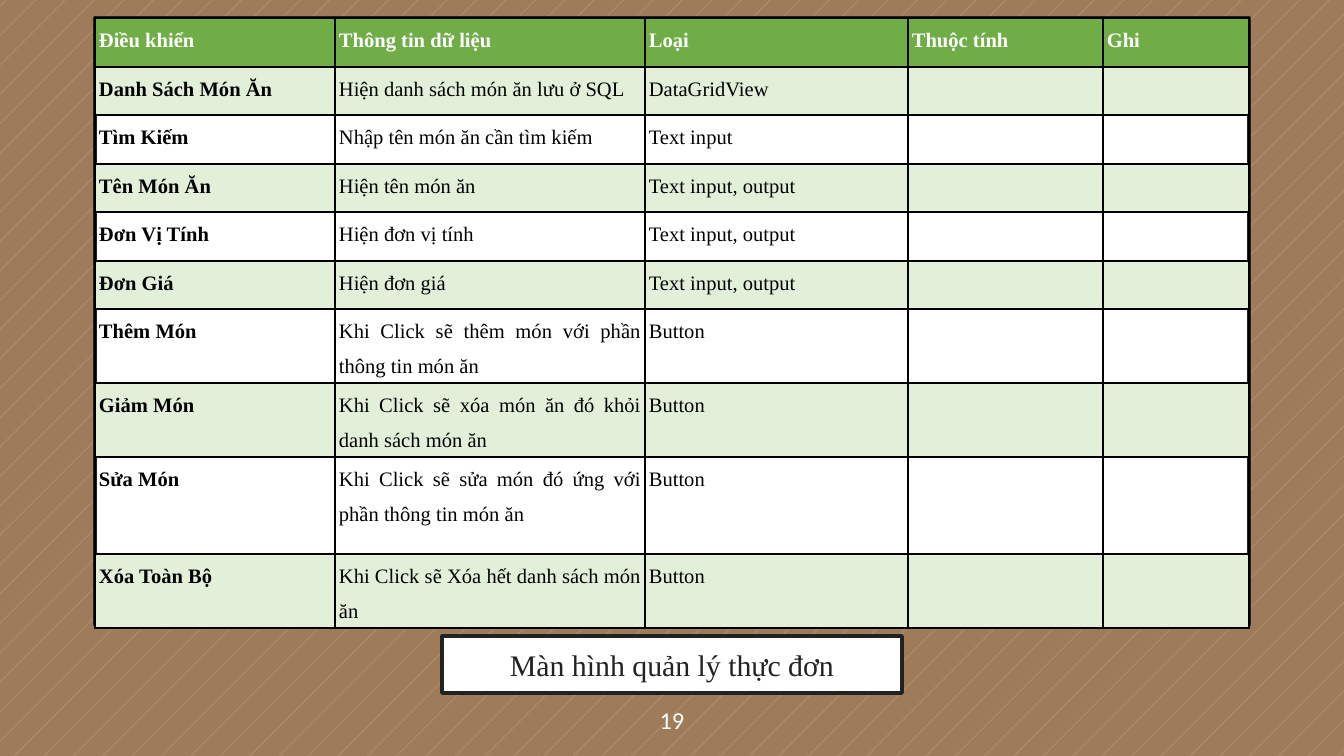
from lxml import etree
from pptx import Presentation
from pptx.dml.color import RGBColor
from pptx.enum.shapes import MSO_SHAPE
from pptx.enum.text import MSO_ANCHOR, PP_ALIGN
from pptx.oxml import parse_xml
from pptx.oxml.ns import nsdecls, qn
from pptx.util import Pt

RECTANGLE = MSO_SHAPE.RECTANGLE
MIDDLE = MSO_ANCHOR.MIDDLE
CENTER, JUSTIFY = PP_ALIGN.CENTER, PP_ALIGN.JUSTIFY

BROWN = RGBColor(0x9E, 0x7C, 0x59)
WHITE = RGBColor(0xFF, 0xFF, 0xFF)
BLACK = RGBColor(0, 0, 0)
CHARCOAL = RGBColor(0x22, 0x22, 0x22)
GREEN = RGBColor(0x70, 0xAD, 0x47)
PALE_GREEN = RGBColor(0xE2, 0xEF, 0xD9)

SERIF, SANS = "Times New Roman", "Calibri"
WIDTH, HEIGHT = 1344, 756
EMU_PER_PX = 9144000 / WIDTH

STRIPE_COUNT, STRIPE_START, STRIPE_STEP, STRIPE_SPAN = 72, 5.2, 29.4, 2

TABLE_LEFT, TABLE_TOP = 95, 18
COLUMN_WIDTHS = [240, 310, 263, 195, 146]
ROW_HEIGHTS = [49, 48, 49, 48, 49, 48, 73, 73, 97, 73]
HEADINGS = ("Điều khiển", "Thông tin dữ liệu", "Loại", "Thuộc tính", "Ghi")
CONTROLS = [
    ("Danh Sách Món Ăn", "Hiện danh sách món ăn lưu ở SQL", "DataGridView"),
    ("Tìm Kiếm", "Nhập tên món ăn cần tìm kiếm", "Text input"),
    ("Tên Món Ăn", "Hiện tên món ăn", "Text input, output"),
    ("Đơn Vị Tính", "Hiện đơn vị tính", "Text input, output"),
    ("Đơn Giá", "Hiện đơn giá", "Text input, output"),
    ("Thêm Món", "Khi Click sẽ thêm món với phần thông tin món ăn", "Button"),
    ("Giảm Món", "Khi Click sẽ xóa món ăn đó khỏi danh sách món ăn", "Button"),
    ("Sửa Món", "Khi Click sẽ sửa món đó ứng với phần thông tin món ăn", "Button"),
    ("Xóa Toàn Bộ", "Khi Click sẽ Xóa hết danh sách món ăn", "Button"),
]


def px(length):
    """Turn pixels into EMU."""
    return round(length * EMU_PER_PX)


def write(paragraph, words, size, color, font=SERIF, bold=False, align=CENTER):
    """Add one formatted run to a paragraph."""
    paragraph.alignment = align
    run = paragraph.add_run()
    run.text = words
    run.font.name = font
    run.font.size = Pt(size)
    run.font.bold = bold
    run.font.color.rgb = color


def stripe_corners(start):
    """Return the corners of one diagonal stripe clipped to the slide."""
    corners = []
    for total in (start, start + STRIPE_SPAN):
        upper = (px(min(total, WIDTH)), px(max(0, total - WIDTH)))
        lower = (px(max(0, total - HEIGHT)), px(min(total, HEIGHT)))
        corners.append((upper, lower))
    (upper, lower), (next_upper, next_lower) = corners
    return [upper, lower, next_lower, next_upper]


def add_stripes(slide):
    """Draw all faint diagonal stripes as one outline."""
    first, *others = [
        stripe_corners(STRIPE_START + STRIPE_STEP * i) for i in range(STRIPE_COUNT)
    ]
    builder = slide.shapes.build_freeform(*first[0])
    builder.add_line_segments(first[1:])
    for corners in others:
        builder.move_to(*corners[0])
        builder.add_line_segments(corners[1:])
    stripes = builder.convert_to_shape()
    stripes.shadow.inherit = False
    stripes.line.fill.background()
    stripes.fill.solid()
    stripes.fill.fore_color.rgb = WHITE
    tint = stripes.fill._xPr.find(qn("a:solidFill"))[0]
    etree.SubElement(tint, qn("a:alpha")).set("val", "10000")


def add_panel(slide, left, top, width, height):
    """Add a white rectangle with a dark outline."""
    panel = slide.shapes.add_shape(
        RECTANGLE, px(left), px(top), px(width), px(height)
    )
    panel.shadow.inherit = False
    panel.fill.solid()
    panel.fill.fore_color.rgb = WHITE
    panel.line.color.rgb = CHARCOAL
    panel.line.width = Pt(2)
    return panel


def add_caption(slide, words):
    """Add the framed screen title below the table."""
    frame = add_panel(slide, 442, 636, 460, 57).text_frame
    frame.word_wrap = True
    frame.vertical_anchor = MIDDLE
    write(frame.paragraphs[0], words, 16, CHARCOAL)


def add_page_number(slide, number):
    """Add the centred page number at the foot."""
    frame = slide.shapes.add_textbox(0, px(683), px(WIDTH), px(73)).text_frame
    frame.word_wrap = True
    frame.vertical_anchor = MIDDLE
    write(frame.paragraphs[0], number, 13, WHITE, font=SANS)


def add_borders(cell):
    """Give a cell thin black lines on every side."""
    properties = cell._tc.get_or_add_tcPr()
    for side in ("lnL", "lnR", "lnT", "lnB"):
        properties.append(parse_xml(
            f'<a:{side} {nsdecls("a")} w="{Pt(1)}"><a:solidFill>'
            f'<a:srgbClr val="{BLACK}"/></a:solidFill></a:{side}>'
        ))


def format_cell(cell, words, fill, color, bold):
    """Set a cell's margins, borders, fill and words."""
    cell.margin_left = cell.margin_right = px(4)
    cell.margin_top = cell.margin_bottom = 0
    add_borders(cell)
    if fill is None:
        cell.fill.background()
    else:
        cell.fill.solid()
        cell.fill.fore_color.rgb = fill
    if words:
        paragraph = cell.text_frame.paragraphs[0]
        paragraph.line_spacing = 1.5
        write(paragraph, words, 11, color, bold=bold, align=JUSTIFY)


def add_control_table(slide):
    """Add the table of screen controls."""
    table = slide.shapes.add_table(
        len(ROW_HEIGHTS), len(COLUMN_WIDTHS), px(TABLE_LEFT), px(TABLE_TOP),
        px(sum(COLUMN_WIDTHS)), px(sum(ROW_HEIGHTS)),
    ).table
    table.first_row = table.horz_banding = False
    for column, width in zip(table.columns, COLUMN_WIDTHS):
        column.width = px(width)
    for row, height in zip(table.rows, ROW_HEIGHTS):
        row.height = px(height)
    for i, entries in enumerate([HEADINGS, *CONTROLS]):
        heading = i == 0
        fill = GREEN if heading else PALE_GREEN if i % 2 else None
        color = WHITE if heading else BLACK
        for j in range(len(COLUMN_WIDTHS)):
            words = entries[j] if j < len(entries) else ""
            format_cell(table.cell(i, j), words, fill, color, heading or j == 0)


def main():
    """Build the menu management slide."""
    deck = Presentation()
    deck.slide_width, deck.slide_height = px(WIDTH), px(HEIGHT)
    slide = deck.slides.add_slide(deck.slide_layouts[6])
    slide.background.fill.solid()
    slide.background.fill.fore_color.rgb = BROWN
    add_stripes(slide)
    add_panel(slide, TABLE_LEFT, TABLE_TOP, sum(COLUMN_WIDTHS), sum(ROW_HEIGHTS))
    add_page_number(slide, "19")
    add_caption(slide, "Màn hình quản lý thực đơn")
    add_control_table(slide)
    deck.save("out.pptx")


if __name__ == "__main__":
    main()
